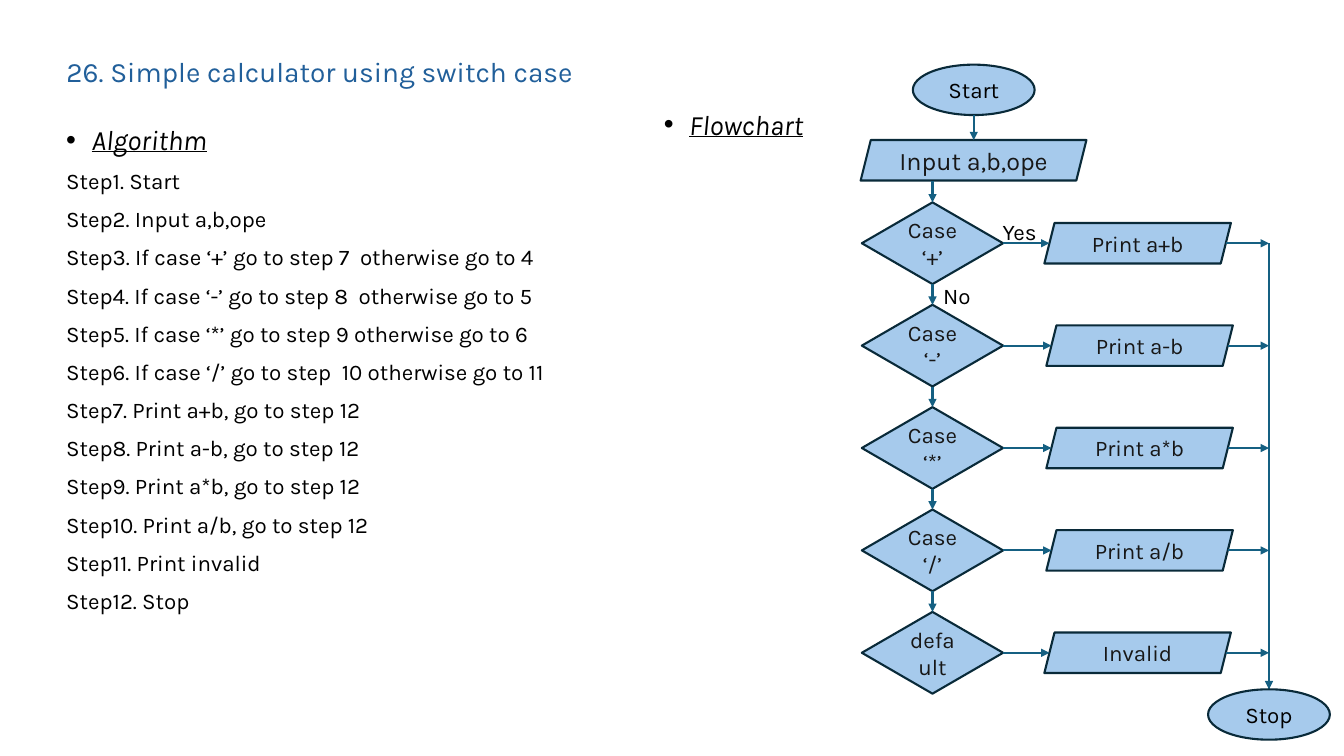
from pptx import Presentation
from pptx.dml.color import RGBColor
from pptx.enum.shapes import MSO_CONNECTOR, MSO_SHAPE
from pptx.enum.text import MSO_ANCHOR, MSO_AUTO_SIZE, PP_ALIGN
from pptx.oxml.ns import qn
from pptx.util import Cm, Pt
from lxml.etree import SubElement

FONT = "Karla"
BLACK, DARK, TITLE_BLUE = "000000", "171717", "215F9A"
NODE_FILL, NODE_EDGE, ARROW = "A6CAEC", "092A39", "156082"

STEPS = [
    "Start",
    "Input a,b,ope",
    "If case ‘+’ go to step 7  otherwise go to 4",
    "If case ‘-’ go to step 8  otherwise go to 5",
    "If case ‘*’ go to step 9 otherwise go to 6",
    "If case ‘/’ go to step  10 otherwise go to 11",
    "Print a+b, go to step 12",
    "Print a-b, go to step 12",
    "Print a*b, go to step 12",
    "Print a/b, go to step 12",
    "Print invalid",
    "Stop",
]
# Test, its result, and the left edge of the result
BRANCHES = [
    ("Case ‘+’", "Print a+b", 26.32),
    ("Case ‘-’", "Print a-b", 26.37),
    ("Case ‘*’", "Print a*b", 26.37),
    ("Case ‘/’", "Print a/b", 26.37),
    ("default", "Invalid", 26.32),
]

# Flowchart measures in centimetres
TEST_X, TEST_W, TEST_H = 23.5, 3.56, 2.06
FIRST_Y, PITCH = 6.13, 2.58
RESULT_W, BOX_H = 4.7, 1.02
SLANT = BOX_H / 8
START_X, RAIL_X = 24.54, 31.98
OVAL_W, OVAL_H = 3.07, 1.27
START_Y, INPUT_Y, STOP_Y = 1.63, 3.53, 17.37


def color(value):
    return RGBColor.from_string(value)


def add_run(paragraph, text, size, ink, heading=False):
    run = paragraph.add_run()
    run.text = text
    run.font.name = FONT
    run.font.size = Pt(size)
    run.font.color.rgb = color(ink)
    if heading:
        run.font.italic = run.font.underline = True


def add_text(slide, left, top, width, height):
    frame = slide.shapes.add_textbox(Cm(left), Cm(top), Cm(width), Cm(height)).text_frame
    frame.word_wrap = True
    return frame


def add_heading(paragraph, text):
    properties = paragraph._p.get_or_add_pPr()
    properties.set("marL", str(Cm(0.64)))
    properties.set("indent", str(-Cm(0.64)))
    SubElement(properties, qn("a:buFont"), typeface="Arial")
    SubElement(properties, qn("a:buChar"), char="•")
    paragraph.line_spacing = 0.9
    add_run(paragraph, text, 20, BLACK, heading=True)


def add_label(slide, text, left, top, width):
    frame = add_text(slide, left, top, width, 0.94)
    add_run(frame.paragraphs[0], text, 16, BLACK)


def add_node(slide, kind, text, left, top, width, height, size=16, ink=DARK):
    node = slide.shapes.add_shape(kind, Cm(left), Cm(top), Cm(width), Cm(height))
    node.shadow.inherit = False
    node.fill.solid()
    node.fill.fore_color.rgb = color(NODE_FILL)
    node.line.color.rgb = color(NODE_EDGE)
    node.line.width = Pt(1.5)
    node.text_frame.word_wrap = True
    node.text_frame.vertical_anchor = MSO_ANCHOR.MIDDLE
    paragraph = node.text_frame.paragraphs[0]
    paragraph.alignment = PP_ALIGN.CENTER
    add_run(paragraph, text, size, ink)


def add_oval(slide, text, center, top):
    add_node(slide, MSO_SHAPE.OVAL, text, center - OVAL_W / 2, top, OVAL_W, OVAL_H, ink=BLACK)


def add_arrow(slide, x1, y1, x2, y2):
    arrow = slide.shapes.add_connector(MSO_CONNECTOR.STRAIGHT, Cm(x1), Cm(y1), Cm(x2), Cm(y2))
    arrow.line.color.rgb = color(ARROW)
    arrow.line.width = Pt(1.5)
    SubElement(arrow.line._get_or_add_ln(), qn("a:tailEnd"), type="triangle")
    SubElement(arrow._element.spPr, qn("a:effectLst"))


def add_title(slide, text):
    title = slide.shapes.title
    title.left, title.top, title.width, title.height = Cm(1.42), Cm(1.02), Cm(30.1), Cm(1.68)
    frame = title.text_frame
    frame.auto_size = MSO_AUTO_SIZE.NONE
    frame.vertical_anchor = MSO_ANCHOR.MIDDLE
    paragraph = frame.paragraphs[0]
    paragraph.alignment = PP_ALIGN.LEFT
    paragraph.line_spacing = 0.9
    add_run(paragraph, text, 20, TITLE_BLUE)


def add_algorithm(slide):
    frame = add_text(slide, 1.42, 3.05, 15.29, 14.12)
    add_heading(frame.paragraphs[0], "Algorithm")
    for number, step in enumerate(STEPS, 1):
        paragraph = frame.add_paragraph()
        paragraph.line_spacing = 0.9
        paragraph.space_before = Pt(10)
        add_run(paragraph, f"Step{number}. {step}", 16, BLACK)


def add_flowchart(slide):
    add_heading(add_text(slide, 16.48, 2.67, 4.32, 1.27).paragraphs[0], "Flowchart")

    # Start, input and stop
    add_oval(slide, "Start", START_X, START_Y)
    add_oval(slide, "Stop", RAIL_X, STOP_Y)
    add_node(slide, MSO_SHAPE.PARALLELOGRAM, "Input a,b,ope", 21.69, INPUT_Y, 5.69, BOX_H, size=18)
    add_arrow(slide, START_X, START_Y + OVAL_H, START_X, INPUT_Y)

    # One row per case, with arrows into the test, to the result and to the rail
    above = INPUT_Y + BOX_H
    for row, (test, result, result_x) in enumerate(BRANCHES):
        y = FIRST_Y + row * PITCH
        top = y - TEST_H / 2
        add_node(slide, MSO_SHAPE.DIAMOND, test, TEST_X - TEST_W / 2, top, TEST_W, TEST_H)
        add_node(slide, MSO_SHAPE.PARALLELOGRAM, result, result_x, y - BOX_H / 2, RESULT_W, BOX_H)
        add_arrow(slide, TEST_X, above, TEST_X, top)
        add_arrow(slide, TEST_X + TEST_W / 2, y, result_x + SLANT, y)
        add_arrow(slide, result_x + RESULT_W - SLANT, y, RAIL_X, y)
        above = top + TEST_H

    # Rail down to stop
    add_arrow(slide, RAIL_X, FIRST_Y, RAIL_X, STOP_Y)

    # Branch labels
    add_label(slide, "Yes", 25.02, 5.36, 2.01)
    add_label(slide, "No", 23.52, 6.99, 2.36)


def main():
    deck = Presentation()
    deck.slide_width, deck.slide_height = Cm(33.87), Cm(19.05)
    slide = deck.slides.add_slide(deck.slide_layouts[5])
    add_title(slide, "26. Simple calculator using switch case")
    add_algorithm(slide)
    add_flowchart(slide)
    deck.save("out.pptx")


if __name__ == "__main__":
    main()
